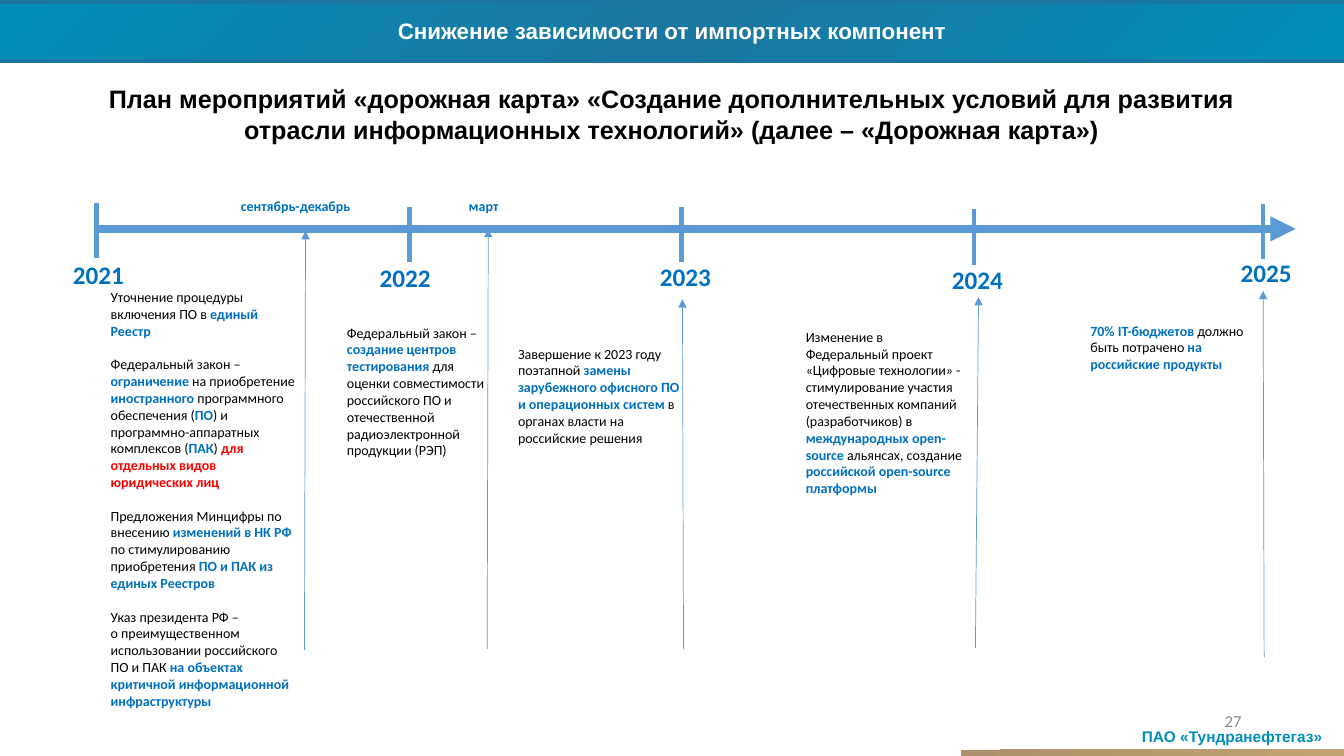
from copy import deepcopy
from dataclasses import dataclass

from lxml.etree import SubElement
from pptx import Presentation
from pptx.dml.color import RGBColor
from pptx.enum.shapes import MSO_CONNECTOR, MSO_SHAPE
from pptx.enum.text import MSO_ANCHOR, MSO_AUTO_SIZE, PP_ALIGN
from pptx.oxml.ns import qn
from pptx.util import Pt

PX = 9525


@dataclass(frozen=True)
class Theme:
    """Colours, fonts and type sizes of the slide."""
    teal: str = "008EB9"
    deep: str = "1B77A1"
    axis: str = "5B9BD5"
    blue: str = "0070C0"
    red: str = "FF0000"
    black: str = "000000"
    white: str = "FFFFFF"
    grey: str = "8C8C8C"
    sand: str = "AD906B"
    gold: str = "C2A271"
    head: str = "Arial"
    body: str = "Calibri"
    heading: int = 18
    title: int = 16
    number: int = 12
    owner: int = 11
    note: int = 10


T = Theme()

YEARS = [
    ("2021", (32, 10), (0, 59)),
    ("2022", (330, 14), (292, 62)),
    ("2023", (589, 14), (559, 61)),
    ("2024", (868, 16), (837, 64)),
    ("2025", (1143, 11), (1112, 57)),
]
MONTHS = [("сентябрь-декабрь", 160, 136), ("март", 377, 56)]
POINTERS = [
    (230, 436, 231, 37),
    (404, 435, 405, 35),
    (591, 435, 590, 102),
    (869, 434, 872, 100),
    (1144, 443, 1143, 94),
]


def plain(text):
    """Return a regular black piece of a note."""
    return text, T.black, False


def key(text, color=T.blue):
    """Return a bold coloured piece of a note."""
    return text, color, True


NOTES = [
    ((36, 87, 197, 445), [
        (0, [plain("Уточнение процедуры включения ПО в "), key("единый Реестр")]),
        (12, [plain("Федеральный закон – "), key("ограничение"),
              plain(" на приобретение "), key("иностранного"),
              plain(" программного обеспечения ("), key("ПО"),
              plain(") и программно-аппаратных комплексов ("), key("ПАК"),
              plain(") "), key("для отдельных видов юридических лиц", T.red)]),
        (12, [plain("Предложения Минцифры по внесению "), key("изменений в НК РФ "),
              plain("по стимулированию приобретения "),
              key("ПО и ПАК из единых Реестров")]),
        (12, [plain("Указ президента РФ –")]),
        (0, [plain("о преимущественном использовании российского ПО и ПАК "),
             key("на объектах критичной информационной инфраструктуры")]),
    ]),
    ((261, 121, 156, 156), [
        (0, [plain("Федеральный закон – "), key("создание центров тестирования "),
             plain("для оценки совместимости российского ПО и отечественной "
                   "радиоэлектронной продукции (РЭП)")]),
    ]),
    ((424, 141, 174, 123), [
        (0, [plain("Завершение к 2023 году поэтапной "),
             key("замены зарубежного офисного ПО и операционных систем "),
             plain("в органах власти на российские решения")]),
    ]),
    ((698, 125, 174, 187), [
        (0, [plain("Изменение в Федеральный проект «Цифровые технологии» - "
                   "стимулирование участия отечественных компаний (разработчиков) в "),
             key("международных open-source "), plain("альянсах, создание "),
             key("российской open-source платформы")]),
    ]),
    ((969, 119, 174, 74), [
        (0, [key("70% IT-бюджетов "), plain("должно быть потрачено "),
             key("на российские продукты")]),
    ]),
]


def rgb(color):
    """Turn a hex string into a colour."""
    return RGBColor.from_string(color)


def emu(*lengths):
    """Turn px lengths into EMU."""
    return [n * PX for n in lengths]


def style(font, size, color, bold=True, name=T.body):
    """Format a font."""
    font.size, font.bold, font.name = Pt(size), bold, name
    font.color.rgb = rgb(color)


def gradient(sp, *stops):
    """Fill a shape with a diagonal gradient of (position, colour) stops."""
    sp.fill.gradient()
    sp.fill.gradient_angle = 315
    gs_list = sp._element.spPr.find(".//" + qn("a:gsLst"))
    while len(gs_list) < len(stops):
        gs_list.append(deepcopy(gs_list[0]))
    for stop, (position, color) in zip(sp.fill.gradient_stops, stops):
        stop.position, stop.color.rgb = position, rgb(color)


def line(s, x1, y1, x2, y2, color, width, arrow=False):
    """Draw a straight line, with an arrowhead at its end if asked."""
    c = s.shapes.add_connector(MSO_CONNECTOR.STRAIGHT, *emu(x1, y1, x2, y2))
    c.line.color.rgb, c.line.width = rgb(color), Pt(width)
    if arrow:
        SubElement(c.line._get_or_add_ln(), qn("a:tailEnd"), type="triangle")
    SubElement(c._element.spPr, qn("a:effectLst"))


def text_box(s, x, y, w, h, wrap=True):
    """Add an empty text box and return its text frame."""
    tf = s.shapes.add_textbox(*emu(x, y, w, h)).text_frame
    tf.word_wrap, tf.auto_size = wrap, MSO_AUTO_SIZE.NONE
    return tf


def label(s, box, text, size, color, bold=True, name=T.body,
          align=PP_ALIGN.LEFT, wrap=True):
    """Add a one-paragraph text and return its text frame."""
    tf = text_box(s, *box, wrap)
    tf.text = text
    p = tf.paragraphs[0]
    p.alignment = align
    style(p.runs[0].font, size, color, bold, name)
    return tf


def banner(s, x, y, w, h):
    """Format the title as a banner between two lines."""
    sp = s.shapes.title
    sp.left, sp.top, sp.width, sp.height = emu(x, y, w, h)
    gradient(sp, (0, T.teal), (0.5, T.deep), (1, T.teal))
    tf = sp.text_frame
    tf.text = "Снижение зависимости от импортных компонент"
    tf.auto_size, tf.vertical_anchor = MSO_AUTO_SIZE.NONE, MSO_ANCHOR.MIDDLE
    p = tf.paragraphs[0]
    p.alignment = PP_ALIGN.CENTER
    style(p.runs[0].font, T.title, T.white, name=T.head)
    for edge in (y + h + 2, y):
        line(s, x, edge, x + w, edge, T.deep, 3)


def footer(s, x, y, w, h):
    """Place the owner, the stripe and the slide number."""
    label(s, (x + 164, y + 21, w - 165, 28), "ПАО «Тундранефтегаз»", T.owner,
          T.teal, name=T.head, align=PP_ALIGN.CENTER)
    sp = s.shapes.add_shape(MSO_SHAPE.RECTANGLE, *emu(x + 11, y + h - 6, w - 11, 6))
    sp.shadow.inherit = False
    sp.line.fill.background()
    gradient(sp, (0, T.sand), (1, T.gold))
    tf = label(s, (x, y, 288, 38), "27", T.number, T.grey, bold=False,
               align=PP_ALIGN.RIGHT)
    tf.vertical_anchor = MSO_ANCHOR.MIDDLE


def note(s, x, y, w, h, paragraphs):
    """Write a note of (space before, pieces) paragraphs."""
    tf = text_box(s, x, y, w, h)
    for i, (gap, pieces) in enumerate(paragraphs):
        p = tf.add_paragraph() if i else tf.paragraphs[0]
        if gap:
            p.space_before = Pt(gap)
        for text, color, bold in pieces:
            r = p.add_run()
            r.text = text
            style(r.font, T.note, color, bold)


def timeline(s, x, y, w):
    """Draw the axis with years, months, pointers and notes."""
    for (dx, dy, nw, nh), paragraphs in NOTES:
        note(s, x + dx, y + dy, nw, nh, paragraphs)
    for x1, y1, x2, y2 in POINTERS:
        line(s, x + x1, y + y1, x + x2, y + y2, T.axis, 0.5, arrow=True)
    line(s, x + 32, y + 35, x + w, y + 35, T.axis, 6, arrow=True)
    for year, (tx, ty), (lx, ly) in YEARS:
        line(s, x + tx, y + ty, x + tx, y + ty + 53, T.axis, 3)
        label(s, (x + lx, y + ly, 68, 38), year, T.heading, T.blue, wrap=False)
    for month, dx, mw in MONTHS:
        label(s, (x + dx, y, mw, 42), month, T.note, T.blue)


def main():
    """Build the slide and save it."""
    prs = Presentation()
    prs.slide_width, prs.slide_height = emu(1280, 720)
    s = prs.slides.add_slide(prs.slide_layouts[5])
    banner(s, 0, 2, 1280, 54)
    footer(s, 904, 667, 376, 53)
    label(s, (69, 75, 1141, 68),
          "План мероприятий «дорожная карта» «Создание дополнительных условий для "
          "развития отрасли информационных технологий» (далее – «Дорожная карта»)",
          T.heading, T.black, name=T.head, align=PP_ALIGN.CENTER)
    timeline(s, 60, 183, 1174)
    prs.save("out.pptx")


if __name__ == "__main__":
    main()
